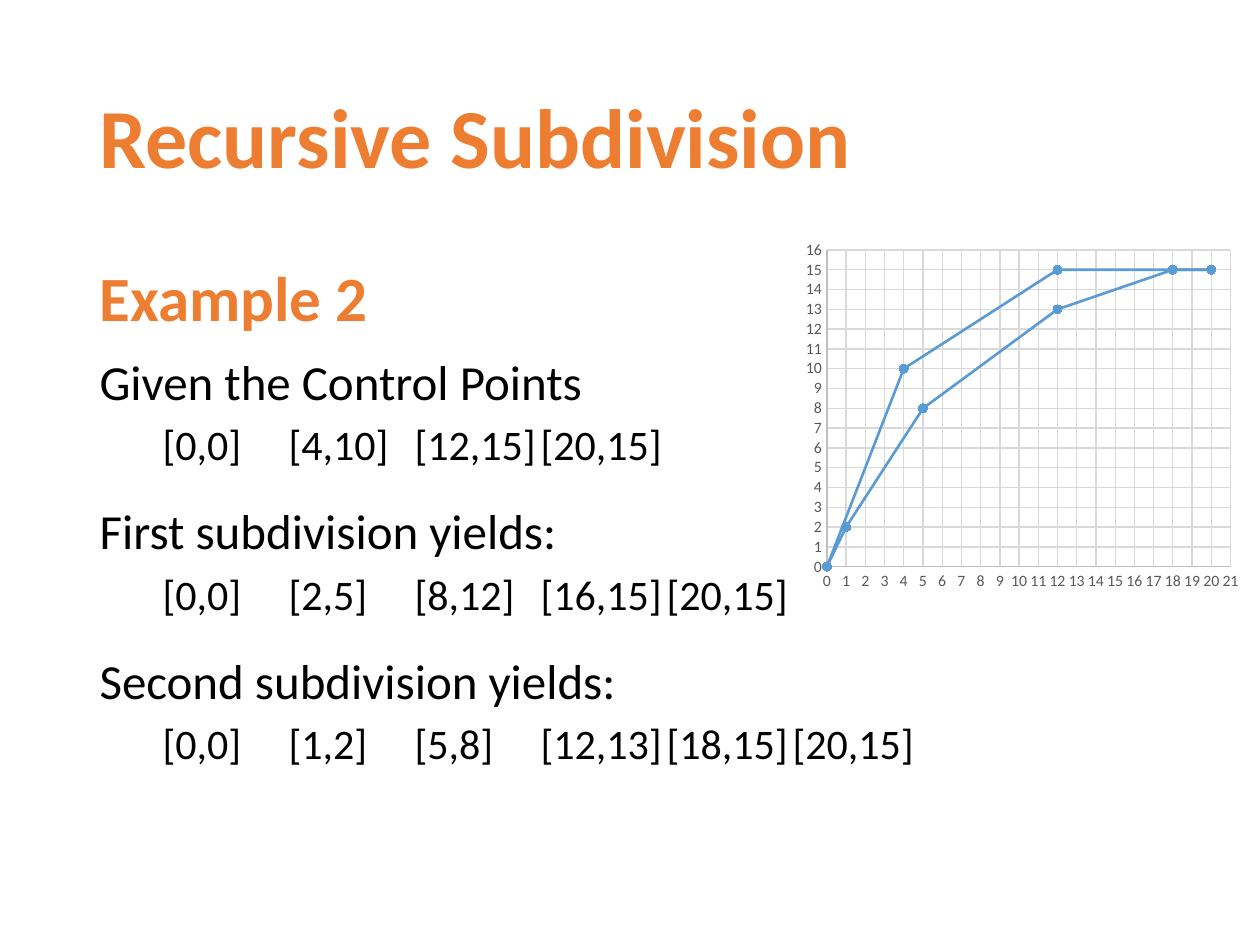
"""Build the Recursive Subdivision slide with its control point chart."""
import pptx
import pptx.chart.data
import pptx.dml.color
import pptx.enum.chart
import pptx.enum.text
import pptx.oxml
import pptx.oxml.ns
import pptx.util

Inches, Pt = pptx.util.Inches, pptx.util.Pt
XL = pptx.enum.chart

ORANGE, BLACK, BLUE = "ED7D31", "000000", "5B9BD5"
LABEL_GREY, AXIS_GREY, GRID_GREY = "595959", "BFBFBF", "D9D9D9"
FONT = "Calibri"

TITLE = "Recursive Subdivision"
HEADING = "Example 2"
STEPS = [
    ("Given the Control Points", 10,
     ["[0,0]", "[4,10]", "[12,15]", "[20,15]"], [1.27, 2.3, 3.49]),
    ("First subdivision yields:", 18,
     ["[0,0]", "[2,5]", "[8,12]", "[16,15]", "[20,15]"], [1.35, 2.2, 3.22, 4.41]),
    ("Second subdivision yields:", 18,
     ["[0,0]", "[1,2]", "[5,8]", "[12,13]", "[18,15]", "[20,15]"],
     [1.35, 2.2, 3.06, 4.25, 5.44]),
]
CONTROL_POLYGON = [(0, 0), (4, 10), (12, 15), (20, 15)]
SECOND_SUBDIVISION = [(0, 0), (1, 2), (5, 8), (12, 13), (18, 15), (20, 15)]
CURVE_POINTS = CONTROL_POLYGON + [(None, None)] + SECOND_SUBDIVISION

TITLE_BOX = (0.69, 0.4, 8.62, 1.45)
BODY_BOX = (0.69, 2, 8.62, 4.76)
CHART_BOX = (6.33, 1.86, 3.58, 2.89)
PLOT_LAYOUT = {"x": 0.065, "y": 0.043, "w": 0.895, "h": 0.87}
POINT_INDENT = 0.5


def apply(target, values):
    for attribute, value in values.items():
        setattr(target, attribute, value)


def rgb(code):
    return pptx.dml.color.RGBColor.from_string(code)


def style_font(font, size, color, bold=False):
    apply(font, {"name": FONT, "size": Pt(size), "bold": bold})
    font.color.rgb = rgb(color)


def style_line(line, color, width):
    line.color.rgb = rgb(color)
    line.width = Pt(width)


def place(shape, box):
    apply(shape, dict(zip(("left", "top", "width", "height"), map(Inches, box))))


def xml(tag, inner=""):
    return pptx.oxml.parse_xml(
        f'<{tag} {pptx.oxml.ns.nsdecls("a", "c")}>{inner}</{tag.split()[0]}>')


def write(paragraph, text, size, color=BLACK, bold=False, before=0, spacing=1.0,
          indent=0, stops=()):
    apply(paragraph, {"alignment": pptx.enum.text.PP_ALIGN.LEFT,
                      "space_before": Pt(before), "space_after": Pt(0),
                      "line_spacing": spacing})
    properties = paragraph._p.get_or_add_pPr()
    properties.set("marL", "0")
    properties.set("indent", str(Inches(indent)))
    properties.append(xml("a:buNone"))
    if stops:
        properties.append(xml("a:tabLst", "".join(
            f'<a:tab pos="{Inches(stop)}" algn="l"/>' for stop in stops)))
    run = paragraph.add_run()
    run.text = text
    style_font(run.font, size, color, bold)


def add_title(slide):
    title = slide.shapes.title
    place(title, TITLE_BOX)
    apply(title.text_frame, {"vertical_anchor": pptx.enum.text.MSO_ANCHOR.MIDDLE,
                             "auto_size": pptx.enum.text.MSO_AUTO_SIZE.NONE})
    write(title.text_frame.paragraphs[0], TITLE, 48, ORANGE, True, spacing=0.9)


def add_steps(slide):
    body = slide.placeholders[1]
    place(body, BODY_BOX)
    frame = body.text_frame
    apply(frame, {"vertical_anchor": pptx.enum.text.MSO_ANCHOR.TOP,
                  "auto_size": pptx.enum.text.MSO_AUTO_SIZE.NONE})
    write(frame.paragraphs[0], HEADING, 36, ORANGE, True, before=10)
    for label, before, points, stops in STEPS:
        write(frame.add_paragraph(), label, 28, before=before)
        point_row = frame.add_paragraph()
        point_row.level = 1
        write(point_row, "\t".join(points), 24, before=5,
              indent=POINT_INDENT, stops=stops)


def style_axis(axis, maximum):
    apply(axis, {"minimum_scale": 0, "maximum_scale": maximum, "major_unit": 1,
                 "major_tick_mark": XL.XL_TICK_MARK.NONE,
                 "minor_tick_mark": XL.XL_TICK_MARK.NONE,
                 "has_major_gridlines": True, "has_title": False})
    style_line(axis.format.line, AXIS_GREY, 0.75)
    style_line(axis.major_gridlines.format.line, GRID_GREY, 0.75)
    style_font(axis.tick_labels.font, 9, LABEL_GREY)


def add_curve_chart(slide):
    data = pptx.chart.data.XyChartData()
    curve_data = data.add_series("Series 1")
    for x, y in CURVE_POINTS:
        curve_data.add_data_point(x, y)
    chart = slide.shapes.add_chart(XL.XL_CHART_TYPE.XY_SCATTER_LINES,
                                   *map(Inches, CHART_BOX), data).chart
    apply(chart, {"has_title": False, "has_legend": False})
    style_font(chart.font, 10, BLACK)
    style_axis(chart.category_axis, 21)
    style_axis(chart.value_axis, 16)

    plot = chart.plots[0]
    plot.vary_by_categories = False
    curve = plot.series[0]
    curve.smooth = False
    style_line(curve.format.line, BLUE, 1.5)
    apply(curve.marker, {"style": XL.XL_MARKER_STYLE.CIRCLE, "size": 5})
    curve.marker.format.fill.solid()
    curve.marker.format.fill.fore_color.rgb = rgb(BLUE)
    style_line(curve.marker.format.line, BLUE, 0.75)

    root = chart._chartSpace
    for blank in root.xpath('.//c:pt[c:v="None" or c:v=""]'):
        blank.getparent().remove(blank)
    area = root.xpath(".//c:plotArea")[0]
    for layout in area.xpath("c:layout"):
        area.remove(layout)
    edges = "".join(f'<c:{edge}Mode val="edge"/>' for edge in "xy")
    sizes = "".join(f'<c:{key} val="{value}"/>' for key, value in PLOT_LAYOUT.items())
    area.insert(0, xml("c:layout", '<c:manualLayout><c:layoutTarget val="inner"/>'
                       f'{edges}{sizes}</c:manualLayout>'))


def main():
    deck = pptx.Presentation()
    apply(deck, {"slide_width": Inches(10), "slide_height": Inches(7.5)})
    slide = deck.slides.add_slide(deck.slide_layouts[1])
    add_title(slide)
    add_steps(slide)
    add_curve_chart(slide)
    deck.save("out.pptx")


if __name__ == "__main__":
    main()
